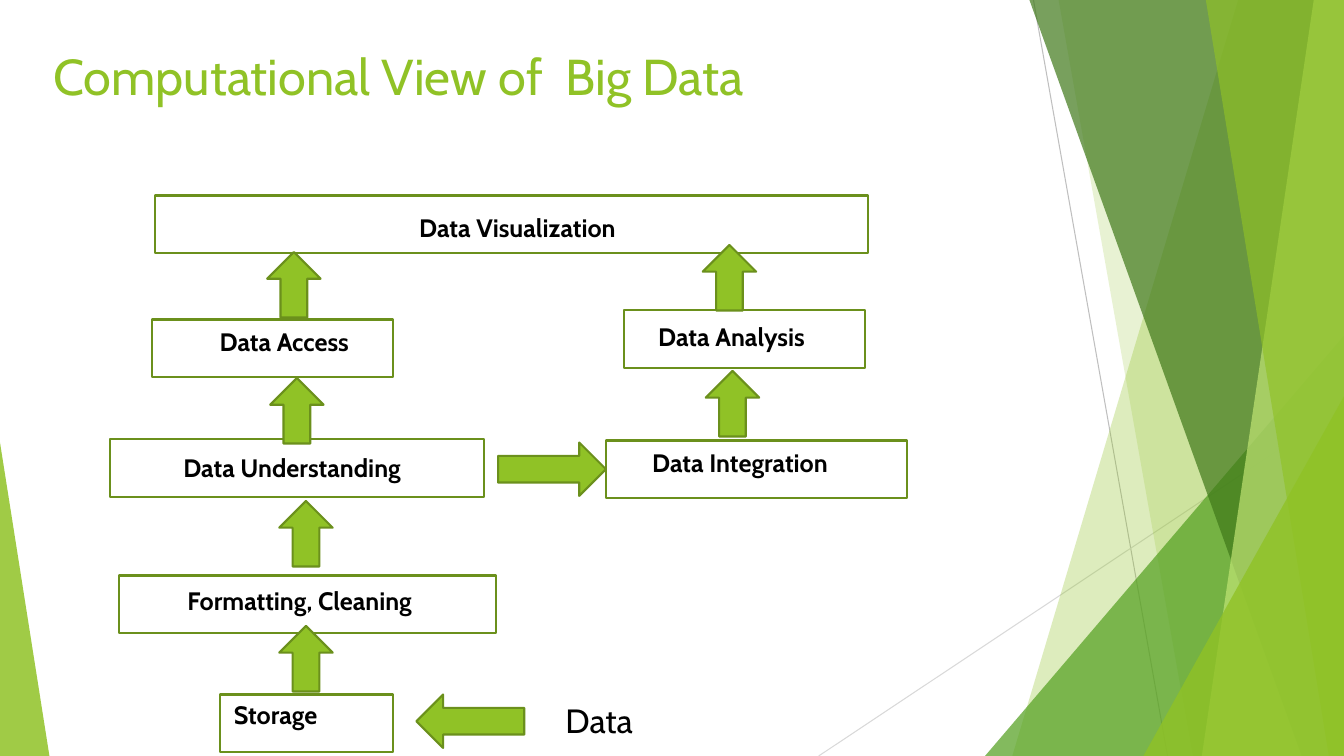
from lxml import etree
from pptx import Presentation
from pptx.dml.color import RGBColor
from pptx.enum.shapes import MSO_CONNECTOR, MSO_SHAPE
from pptx.enum.text import MSO_ANCHOR
from pptx.oxml.ns import qn
from pptx.util import Inches, Pt

RECTANGLE = MSO_SHAPE.RECTANGLE
TRIANGLE = MSO_SHAPE.ISOSCELES_TRIANGLE
ARROWS = {"up": MSO_SHAPE.UP_ARROW, "left": MSO_SHAPE.LEFT_ARROW,
          "right": MSO_SHAPE.RIGHT_ARROW}
STRAIGHT = MSO_CONNECTOR.STRAIGHT
TOP = MSO_ANCHOR.TOP

WIDTH, HEIGHT = 13.33, 7.5
FONT = "Cabin"
COLORS = {"white": "FFFFFF", "black": "000000", "lime": "90C226", "outline": "6B901C",
          "green": "54A021", "forest": "3F7819", "pale": "C0E474",
          "gray": "BFBFBF", "light gray": "D9D9D9"}

# Content: label, box left, box top, box width, label offset (x, y), label width
TITLE = "Computational View of  Big Data"
INPUT_LABEL = "Data"
STAGES = [
    ("Formatting, Cleaning", 1.18, 5.71, 3.74, (0.58, 0.05), 2.67),
    ("Storage", 2.18, 6.89, 1.72, (0.04, 0), 1.08),
    ("Data Understanding", 1.09, 4.36, 3.71, (0.63, 0.08), 2.52),
    ("Data Access", 1.51, 3.17, 2.39, (0.57, 0.02), 1.58),
    ("Data Integration", 6.01, 4.37, 2.99, (0.36, 0.02), 2.1),
    ("Data Analysis", 6.19, 3.08, 2.39, (0.24, 0.06), 1.74),
    ("Data Visualization", 1.54, 1.94, 7.07, (2.52, 0.12), 2.54),
]
BOX_HEIGHT, LABEL_HEIGHT = 0.57, 0.4

# Arrows: direction, left, top
FLOWS = [
    ("up", 2.77, 6.21), ("up", 2.77, 4.97), ("up", 2.68, 3.75), ("up", 2.65, 2.5),
    ("up", 7, 3.68), ("up", 6.97, 2.43), ("right", 4.94, 4.39), ("left", 4.13, 6.89),
]
ARROW_SIZES = {"up": (0.53, 0.65), "right": (1.07, 0.53), "left": (1.07, 0.53)}

# Backdrop: thin lines, then full-height bands and corner triangles, back to front
RAYS = [((10.25, 0), (11.58, HEIGHT), "gray"), ((WIDTH, 4.03), (8.12, HEIGHT), "light gray")]
FACETS = [  # band: top-left x, bottom-left x; corner: left, top, width, apex
    ("band", (12.28, 10.04), "lime", 30),
    ("band", (10.5, 11.83), "lime", 20),
    ("corner", (9.77, 3.33, 3.56, 1), "green", 72),
    ("band", (10.21, 12.91), "forest", 70),
    ("band", (13.03, 11.92), "pale", 70),
    ("band", (11.96, 13.18), "lime", 65),
    ("corner", (11.34, 3.93, 1.99, 1), "lime", 80),
    ("corner", (0, 4.39, 0.49, 0), "lime", 85),
]

presentation = Presentation()
presentation.slide_width, presentation.slide_height = Inches(WIDTH), Inches(HEIGHT)
slide = presentation.slides.add_slide(presentation.slide_layouts[6])
shapes = slide.shapes


def rgb(name):
    return RGBColor.from_string(COLORS[name])


def paint(shape, fill, outline=None, opacity=100):
    shape.shadow.inherit = False
    shape.fill.solid()
    shape.fill.fore_color.rgb = rgb(fill)
    if opacity < 100:
        color = shape._element.spPr.find(qn("a:solidFill"))[0]
        etree.SubElement(color, qn("a:alpha")).set("val", str(opacity * 1000))
    if outline:
        shape.line.color.rgb = rgb(outline)
        shape.line.width = Pt(1.5)
    else:
        shape.line.fill.background()


def add_preset(kind, left, top, width, height, **style):
    shape = shapes.add_shape(kind, Inches(left), Inches(top), Inches(width), Inches(height))
    paint(shape, **style)
    return shape


def add_text(text, left, top, width, height, size=18, bold=False, color="black", indent=0.1):
    box = shapes.add_textbox(Inches(left), Inches(top), Inches(width), Inches(height))
    frame = box.text_frame
    frame.word_wrap = True
    frame.vertical_anchor = TOP
    frame.margin_left = Inches(indent)
    run = frame.paragraphs[0].add_run()
    run.text = text
    run.font.name, run.font.size, run.font.bold = FONT, Pt(size), bold
    run.font.color.rgb = rgb(color)


def add_ray(start, end, color):
    ray = shapes.add_connector(STRAIGHT, *(Inches(value) for value in start + end))
    ray.line.color.rgb = rgb(color)
    ray.line.width = Pt(0.75)
    etree.SubElement(ray._element.spPr, qn("a:effectLst"))


def add_band(top_x, bottom_x, **style):
    builder = shapes.build_freeform(Inches(top_x), 0)
    corners = [(WIDTH, 0), (WIDTH, HEIGHT), (bottom_x, HEIGHT)]
    builder.add_line_segments([(Inches(x), Inches(y)) for x, y in corners], close=True)
    paint(builder.convert_to_shape(), **style)


def add_corner(left, top, width, apex, **style):
    corner = add_preset(TRIANGLE, left, top, width, HEIGHT - top, **style)
    corner.adjustments[0] = apex


# Backdrop
for ray in RAYS:
    add_ray(*ray)
for kind, geometry, color, opacity in FACETS:
    add_facet = add_band if kind == "band" else add_corner
    add_facet(*geometry, fill=color, opacity=opacity)

# Title
add_text(TITLE, 0, 0.4, 10, 0.51, size=36, color="lime", indent=0.53)

# Stages with their labels
for label, left, top, width, (shift_x, shift_y), label_width in STAGES:
    add_preset(RECTANGLE, left, top, width, BOX_HEIGHT, fill="white", outline="outline")
    add_text(label, left + shift_x, top + shift_y, label_width, LABEL_HEIGHT, bold=True)
add_text(INPUT_LABEL, 5.51, 6.89, 0.93, 0.5, size=24)

# Flow arrows
for direction, left, top in FLOWS:
    add_preset(ARROWS[direction], left, top, *ARROW_SIZES[direction],
               fill="lime", outline="outline")

presentation.save("out.pptx")
